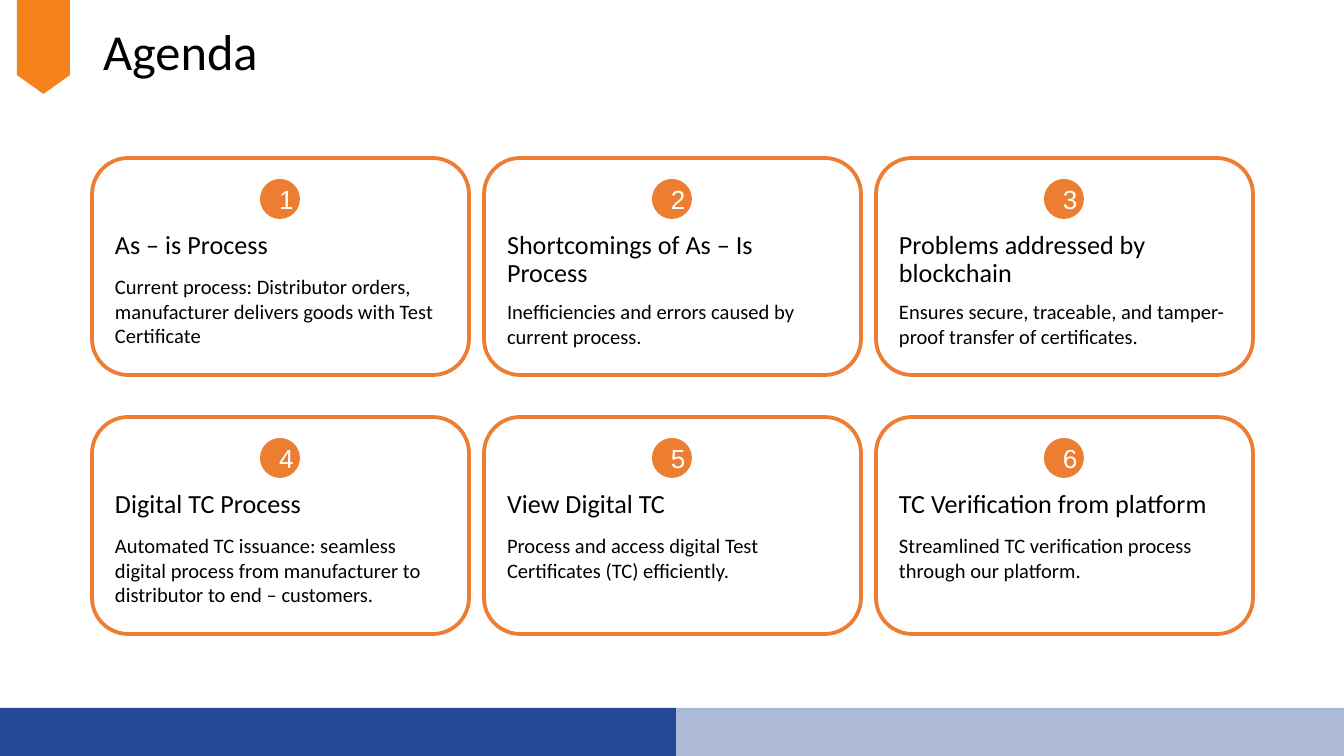
from lxml import etree
from pptx import Presentation
from pptx.dml.color import RGBColor
from pptx.enum import shapes, text
from pptx.oxml.ns import qn
from pptx.util import Emu, Pt

SCALE = 9144000 / 1344
KIND = shapes.MSO_SHAPE
INK = {"blue": "264796", "ribbon": "F6821C", "orange": "ED7D31",
       "white": "FFFFFF", "black": "000000"}
FRAME = {"word_wrap": True, "margin_left": 10, "margin_right": 10,
         "margin_top": 5, "margin_bottom": 5}
TITLE = {"name": "Calibri", "size": Pt(27)}
HEAD = {"name": "Calibri", "size": Pt(14)}
BODY = {"name": "Calibri", "size": Pt(11)}
BADGE = {"name": "Arial", "size": Pt(14)}

# Heading, number of heading lines, description, number of its lines
TOPICS = [
    ("As – is Process", 1,
     "Current process: Distributor orders, manufacturer delivers goods "
     "with Test Certificate", 3),
    ("Shortcomings of As – Is Process", 2,
     "Inefficiencies and errors caused by current process.", 2),
    ("Problems addressed by blockchain", 2,
     "Ensures secure, traceable, and tamper-proof transfer of certificates.", 2),
    ("Digital TC Process", 1,
     "Automated TC issuance: seamless digital process from manufacturer "
     "to distributor to end – customers.", 3),
    ("View Digital TC", 1,
     "Process and access digital Test Certificates (TC) efficiently.", 2),
    ("TC Verification from platform", 1,
     "Streamlined TC verification process through our platform.", 2),
]


def px(n):
    return Emu(round(n * SCALE))


def color(key):
    return RGBColor.from_string(INK[key])


def write(par, words, font, ink="black", gap=None):
    par.text = words
    par.line_spacing = gap
    for key, val in font.items():
        setattr(par.font, key, val)
    par.font.color.rgb = color(ink)


def frame(tf):
    for key, val in FRAME.items():
        setattr(tf, key, px(val) if key.startswith("margin") else val)


def shape(slide, kind, box, fill, line=None):
    item = slide.shapes.add_shape(kind, *map(px, box))
    item.shadow.inherit = False
    item.fill.solid()
    item.fill.fore_color.rgb = color(fill)
    if line:
        item.line.color.rgb = color(line)
        item.line.width = Pt(2)
    else:
        item.line.fill.background()
    return item


def label(slide, box, words, font, gap=None):
    tf = slide.shapes.add_textbox(*map(px, box)).text_frame
    frame(tf)
    tf.auto_size = text.MSO_AUTO_SIZE.SHAPE_TO_FIT_TEXT
    write(tf.paragraphs[0], words, font, gap=gap)


def footer(slide, x, y, w, h):
    split = 676
    shape(slide, KIND.RECTANGLE, (x, y, split, h), "blue")
    pale = shape(slide, KIND.RECTANGLE, (x + split, y, w - split, h), "blue")
    # Transparency of the right-hand band
    tint = pale.fill._xPr.find(qn("a:solidFill"))[0]
    etree.SubElement(tint, qn("a:alpha")).set("val", "38000")


def header(slide, x, y, w, h):
    shape(slide, KIND.FLOWCHART_OFFPAGE_CONNECTOR, (x, y, 53, h), "ribbon")
    title = slide.shapes.title
    place = {"left": x + 76, "top": y + 7, "width": w - 76, "height": h}
    for key, val in place.items():
        setattr(title, key, px(val))
    tf = title.text_frame
    frame(tf)
    tf.vertical_anchor = text.MSO_ANCHOR.MIDDLE
    par = tf.paragraphs[0]
    write(par, "Agenda", TITLE, gap=0.9)
    par.alignment = text.PP_ALIGN.LEFT


def card(slide, x, y, w, h, num, topic):
    head, rows, body, lines = topic
    shape(slide, KIND.ROUNDED_RECTANGLE, (x, y, w, h), "white", "orange")
    # Heading and description
    left, wide = x + 13, w - 26
    label(slide, (left, y + 69, wide, 11 + 28 * rows), head, HEAD, 0.9)
    label(slide, (left, y + 86 + 25 * rows, wide, 10 + 25 * lines), body, BODY)
    # Number badge
    side = 40
    dot = shape(slide, KIND.OVAL, (x + (w - side) // 2, y + 21, side, side), "orange")
    par = dot.text_frame.paragraphs[0]
    write(par, str(num), BADGE, "white")
    par.alignment = text.PP_ALIGN.CENTER


def grid(slide, x, y, w, h):
    cols, wide, high = 3, 377, 217
    across, down = (w - wide) // (cols - 1), h - high
    for i, topic in enumerate(TOPICS):
        row, col = divmod(i, cols)
        card(slide, x + col * across, y + row * down, wide, high, i + 1, topic)


def main():
    deck = Presentation()
    deck.slide_width, deck.slide_height = px(1344), px(756)
    slide = deck.slides.add_slide(deck.slide_layouts[5])
    footer(slide, 0, 708, 1344, 48)
    header(slide, 17, 0, 1234, 94)
    grid(slide, 92, 158, 1161, 476)
    deck.save("out.pptx")


if __name__ == "__main__":
    main()
